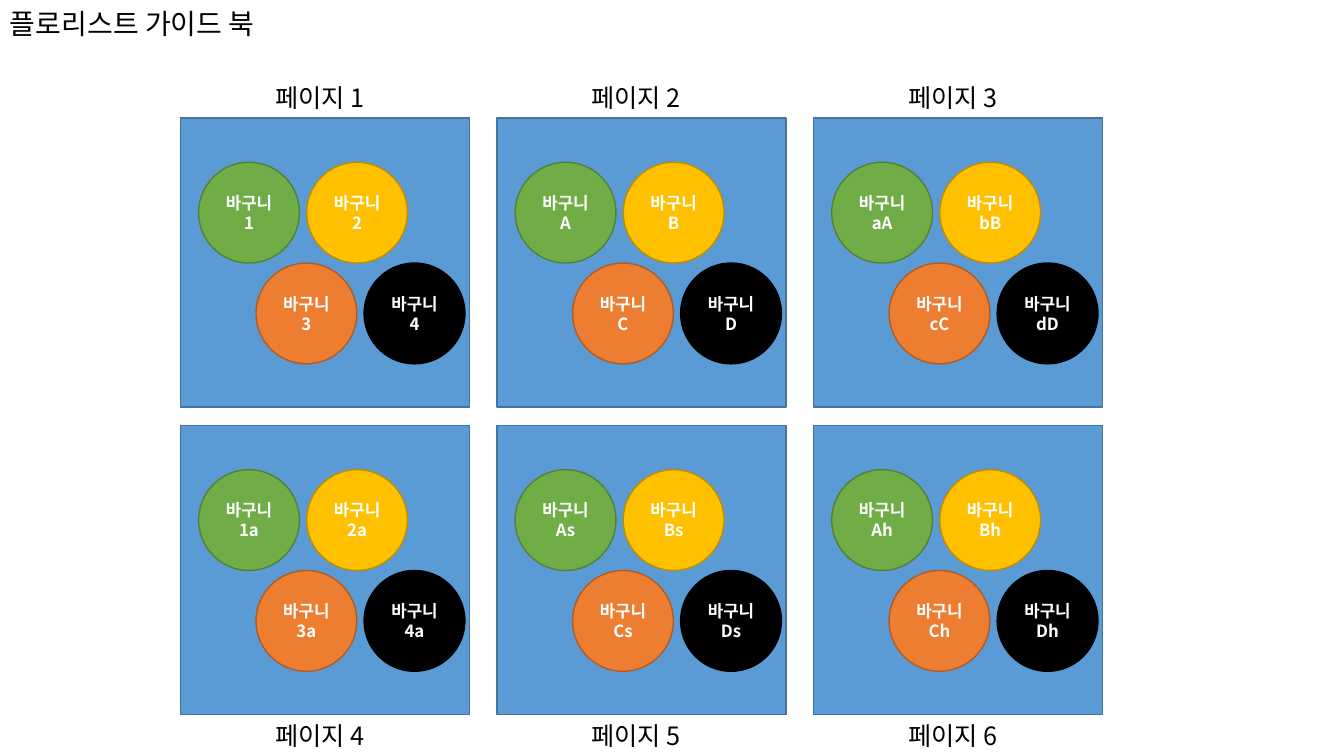
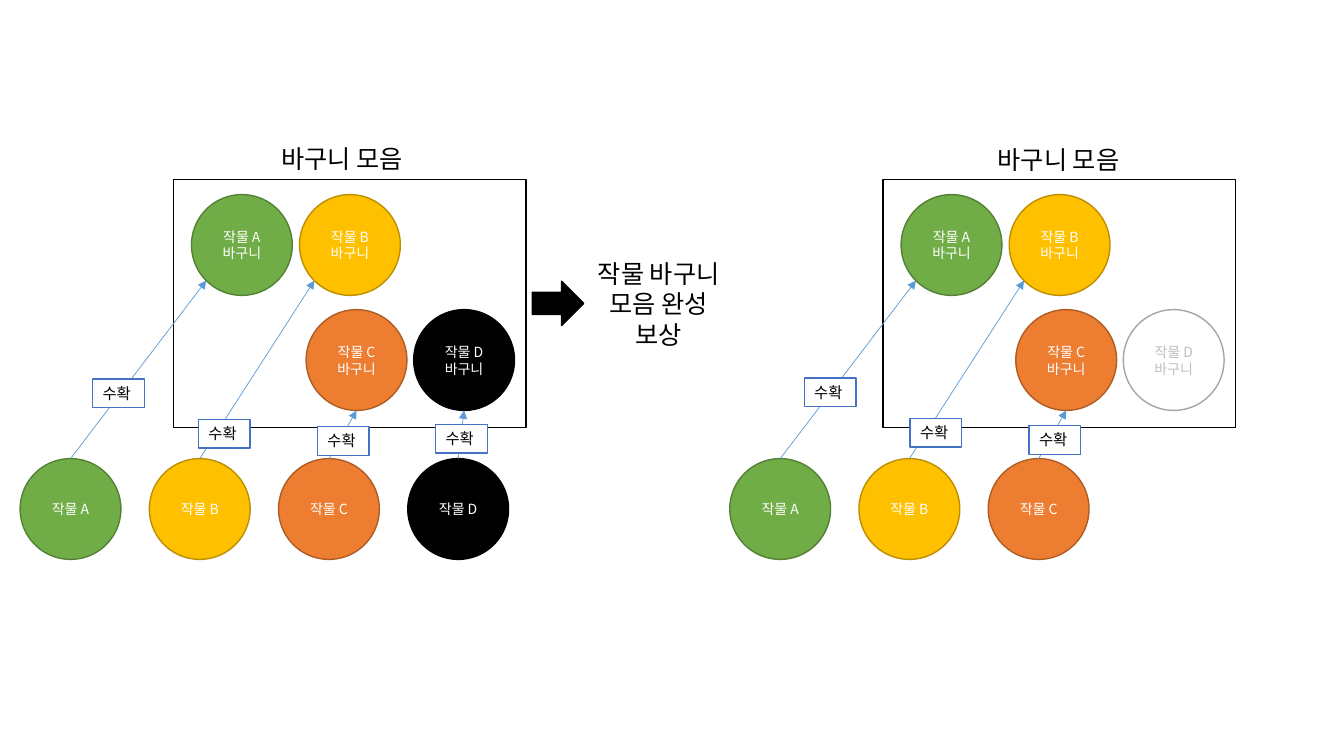
"""Build the two florist guide slides: basket pages and crop collections."""
from lxml.etree import SubElement
from pptx import Presentation
from pptx.dml.color import RGBColor
from pptx.enum.shapes import MSO_CONNECTOR as CONNECTOR, MSO_SHAPE as SHAPE
from pptx.enum.text import MSO_ANCHOR as ANCHOR, MSO_AUTO_SIZE as AUTO, PP_ALIGN as ALIGN
from pptx.oxml.ns import qn
from pptx.util import Pt

FONT = "Noto Sans CJK KR"
COLORS = {
    "black": "000000", "white": "FFFFFF", "page": "5B9BD5", "page_edge": "43739E",
    "green": "70AD47", "green_edge": "538035", "yellow": "FFC000", "yellow_edge": "BD8E00",
    "orange": "ED7D31", "orange_edge": "AF5C24", "harvest_edge": "4472C4",
    "missing_edge": "A5A5A5", "missing_text": "BFBFBF",
}
RGB = {name: RGBColor.from_string(value) for name, value in COLORS.items()}
BASKET_COLORS = [("green", "green_edge"), ("yellow", "yellow_edge"),
                 ("orange", "orange_edge"), ("black", "black")]
DIAMETER = 72


def add_shape(slide, kind, left, top, width, height, fill, edge):
    shape = slide.shapes.add_shape(kind, Pt(left), Pt(top), Pt(width), Pt(height))
    shape.shadow.inherit = False
    shape.fill.solid()
    shape.fill.fore_color.rgb = RGB[fill]
    shape.line.color.rgb = RGB[edge]
    shape.line.width = Pt(1)
    return shape


def write(shape, text, size=18, color="black", bold=False, align=ALIGN.LEFT,
          anchor=ANCHOR.TOP, wrap=False, spacing=None):
    frame = shape.text_frame
    frame.text = text
    frame.word_wrap = wrap
    frame.auto_size = AUTO.NONE if wrap else AUTO.SHAPE_TO_FIT_TEXT
    frame.vertical_anchor = anchor
    for paragraph in frame.paragraphs:
        paragraph.alignment = align
        paragraph.line_spacing = spacing
        for run in paragraph.runs:
            run.font.size = Pt(size)
            run.font.bold = bold
            run.font.color.rgb = RGB[color]
            run.font.name = FONT
            SubElement(run.font._element, qn("a:ea")).set("typeface", FONT)


deck = Presentation()
deck.slide_width, deck.slide_height = Pt(960), Pt(540)
blank = deck.slide_layouts[6]
centred = dict(align=ALIGN.CENTER, anchor=ANCHOR.MIDDLE, wrap=True)

guide = deck.slides.add_slide(blank)
title = guide.shapes.add_textbox(0, 0, Pt(960), Pt(36.7))
write(title, "플로리스트 가이드 북", size=20, anchor=ANCHOR.MIDDLE, wrap=True, spacing=0.9)

PAGE_SIZE = 206.6
basket_offsets = [(13, 31.7), (90.2, 31.7), (54, 103.7), (131.2, 103.7)]
pages = ["1 2 3 4", "A B C D", "aA bB cC dD", "1a 2a 3a 4a", "As Bs Cs Ds", "Ah Bh Ch Dh"]
for index, baskets in enumerate(pages):
    row, column = divmod(index, 3)
    left, top = 128.9 + 226.1 * column, 84.2 + 219.6 * row
    add_shape(guide, SHAPE.RECTANGLE, left, top, PAGE_SIZE, PAGE_SIZE, "page", "page_edge")
    for basket, (dx, dy), (fill, edge) in zip(baskets.split(), basket_offsets, BASKET_COLORS):
        circle = add_shape(guide, SHAPE.OVAL, left + dx, top + dy, DIAMETER, DIAMETER, fill, edge)
        write(circle, f"바구니 {basket}", size=12, color="white", bold=True, **centred)
    label_top = 511.2 if row else 55.3
    page_label = guide.shapes.add_textbox(Pt(left + 60.5), Pt(label_top), Pt(85.7), Pt(29.1))
    write(page_label, f"페이지 {index + 1}")

harvest = deck.slides.add_slide(blank)
CROP_TOP = 327.6
DIAGONAL = DIAMETER / 2 * 0.5 ** 0.5
crop_baskets = [(13, 139), (90.2, 139), (94.9, 221.2), (171.7, 221.2)]
harvest_labels = [(-57.6, 270.6), (18, 299.5), (103, 304.6), (187.4, 303.1)]
collections = [
    dict(left=630.7, crops=3, heading=(705.6, 99.4), shift=(1.4, -0.7)),
    dict(left=123.8, crops=4, heading=(193.7, 98.6), shift=(0, 0)),
]
for collection in collections:
    left, crops = collection["left"], collection["crops"]
    heading_left, heading_top = collection["heading"]
    heading = harvest.shapes.add_textbox(Pt(heading_left), Pt(heading_top), Pt(111.6), Pt(29.1))
    write(heading, "바구니 모음")
    add_shape(harvest, SHAPE.RECTANGLE, left, 128.2, 252, 177.1, "white", "black")

    for index, (dx, top) in enumerate(crop_baskets):
        collected = index < crops
        fill, edge = BASKET_COLORS[index] if collected else ("white", "missing_edge")
        basket = add_shape(harvest, SHAPE.OVAL, left + dx, top, DIAMETER, DIAMETER, fill, edge)
        write(basket, f"작물 {'ABCD'[index]}\n바구니", size=10,
              color="white" if collected else "missing_text", **centred)

    for index in range(crops):
        crop_left = left - 109.4 + 92.3 * index
        crop = add_shape(harvest, SHAPE.OVAL, crop_left, CROP_TOP, DIAMETER, DIAMETER,
                         *BASKET_COLORS[index])
        write(crop, f"작물 {'ABCD'[index]}", size=10, color="white", **centred)

        dx, basket_top = crop_baskets[index]
        reach_x, reach_y = (-DIAGONAL, DIAGONAL) if index < 2 else (0, DIAMETER / 2)
        arrow = harvest.shapes.add_connector(
            CONNECTOR.STRAIGHT, Pt(crop_left + DIAMETER / 2), Pt(CROP_TOP),
            Pt(left + dx + DIAMETER / 2 + reach_x), Pt(basket_top + DIAMETER / 2 + reach_y))
        arrow.line.color.rgb = RGB["page"]
        arrow.line.width = Pt(0.5)
        SubElement(arrow.line._get_or_add_ln(), qn("a:tailEnd")).set("type", "triangle")
        SubElement(arrow._element.spPr, qn("a:effectLst"))

    shift_x, shift_y = collection["shift"]
    for dx, top in harvest_labels[:crops]:
        tag = add_shape(harvest, SHAPE.RECTANGLE, left + dx + shift_x, top + shift_y,
                        36.9, 20.6, "white", "harvest_edge")
        write(tag, "수확", size=11)

add_shape(harvest, SHAPE.RIGHT_ARROW, 380.2, 200.9, 36.7, 31.7, "black", "black")
reward = harvest.shapes.add_textbox(Pt(414.7), Pt(180.7), Pt(111.6), Pt(72.7))
write(reward, "작물 바구니\n모음 완성\n보상", align=ALIGN.CENTER, anchor=ANCHOR.MIDDLE)

deck.save("out.pptx")
